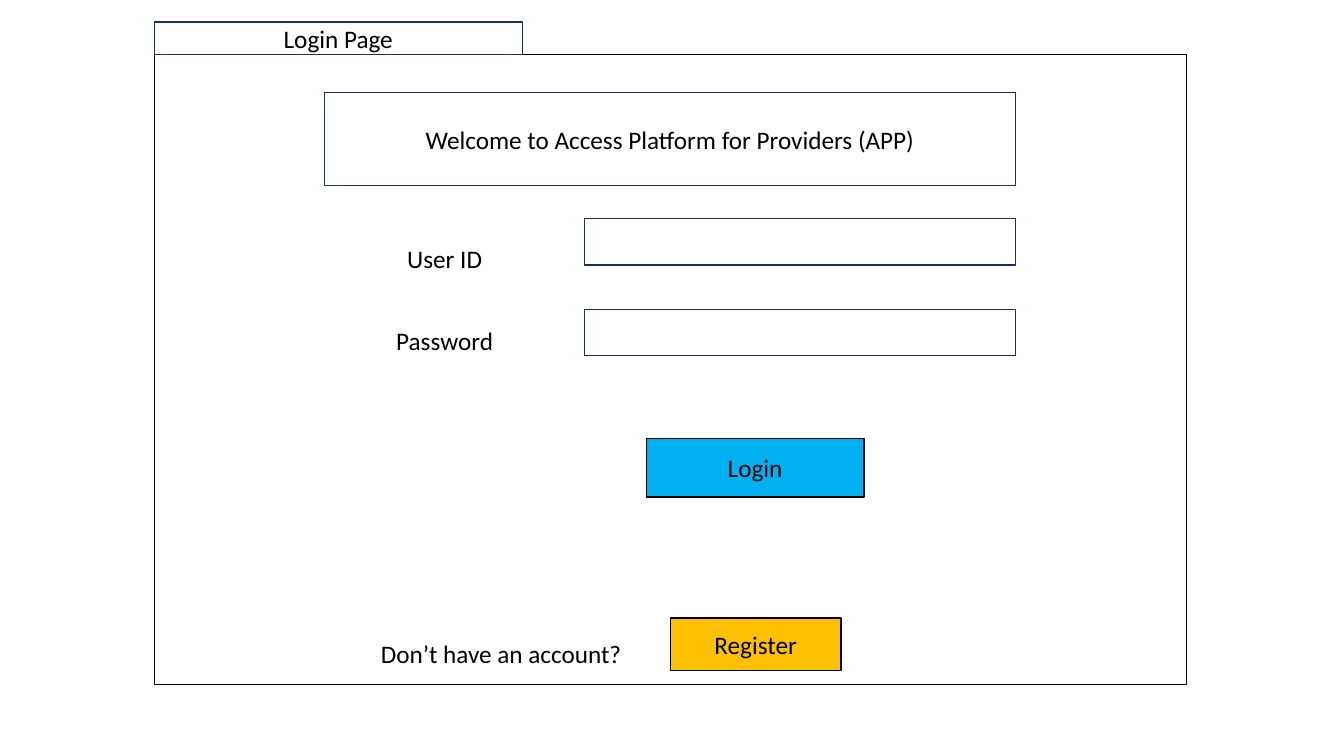
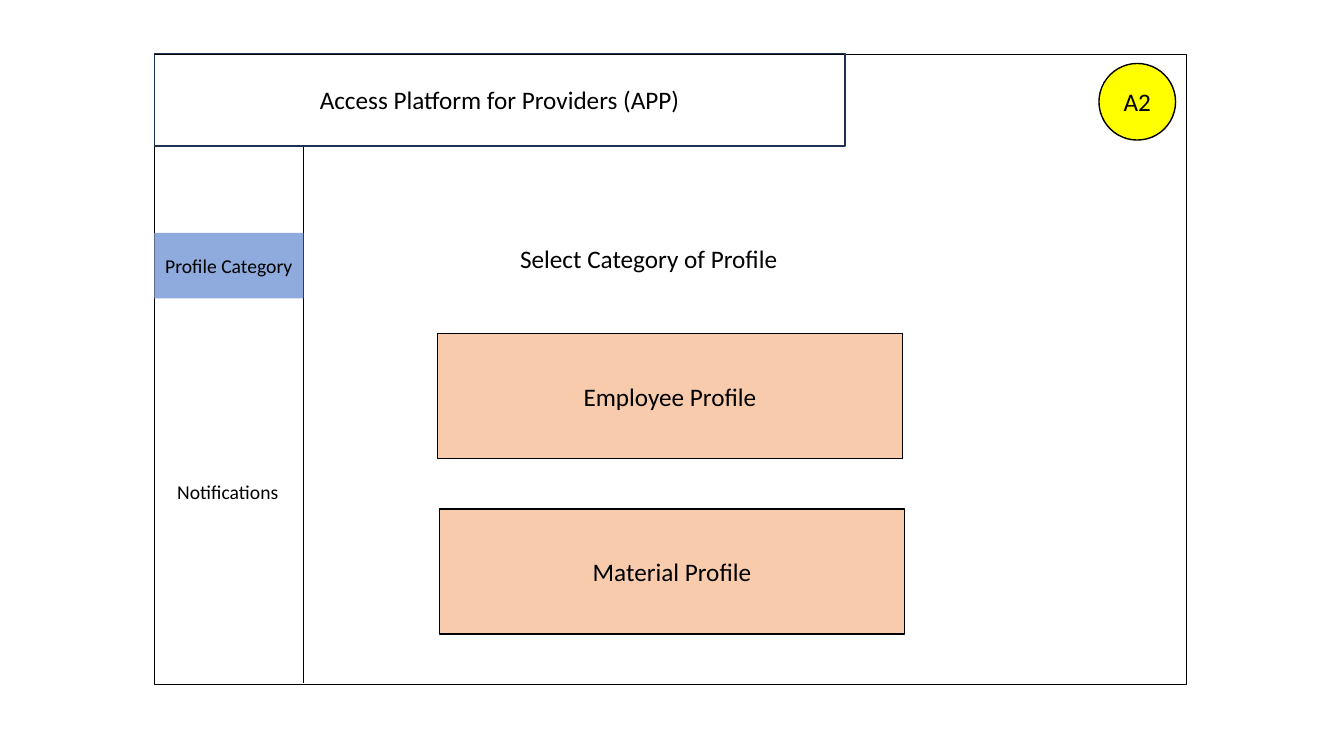
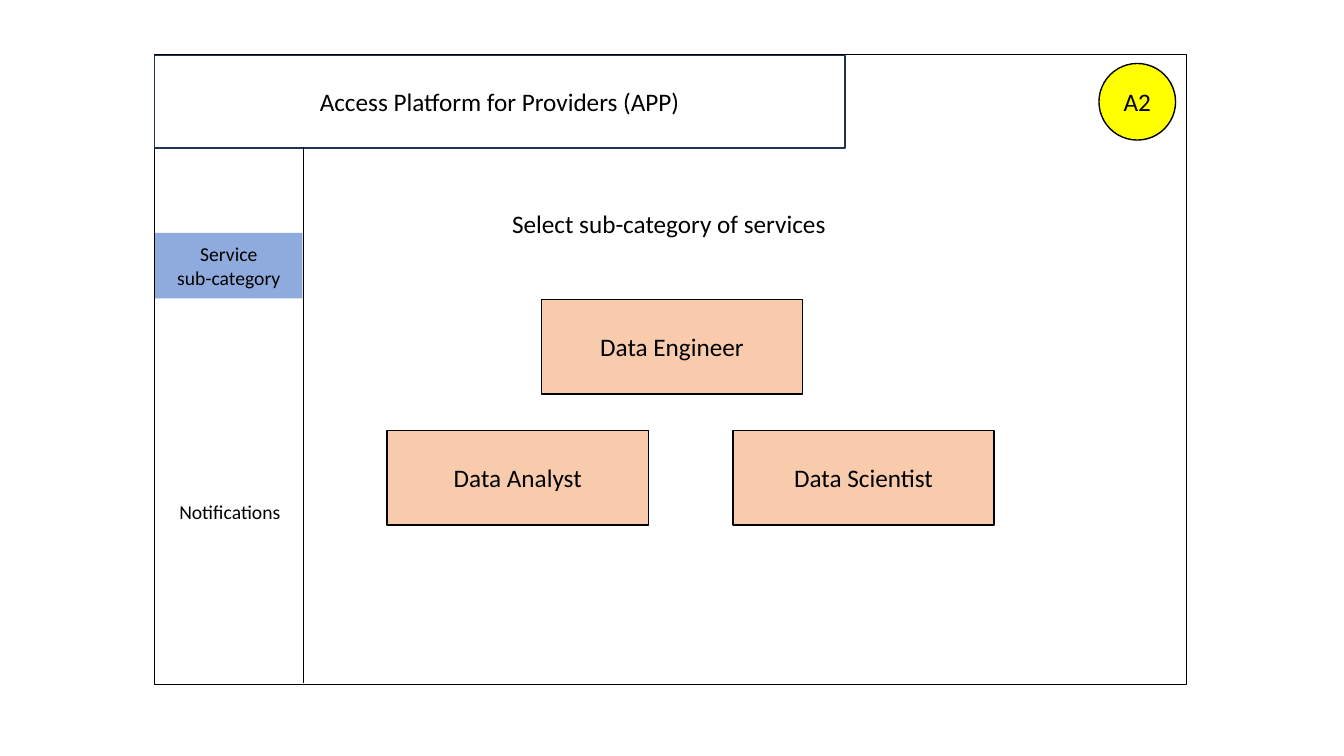
from pptx import Presentation
from pptx.dml.color import RGBColor
from pptx.enum.shapes import MSO_CONNECTOR, MSO_SHAPE
from pptx.enum.text import MSO_ANCHOR, PP_ALIGN
from pptx.oxml.ns import qn
from pptx.util import Emu, Pt
from lxml import etree

RECT, OVAL = MSO_SHAPE.RECTANGLE, MSO_SHAPE.OVAL
STRAIGHT = MSO_CONNECTOR.STRAIGHT
MIDDLE, CENTER = MSO_ANCHOR.MIDDLE, PP_ALIGN.CENTER

PX = 9144  # 100 px to the inch
FONT, BODY, SMALL = "Calibri", 18, 14
COLORS = {
    "black": "000000", "navy": "1E3256", "blue": "00B0F0", "gold": "FFC000",
    "peach": "F8CBAD", "yellow": "FFFF00", "active": "8FAADC",
}

# Boxes are (left, top, width, height)
WINDOW = (153, 54, 1024, 625)
BADGE = ("A2", (1090, 63, 76, 76))
HEADER = "Access Platform for Providers (APP)"
HEADER_SIZE = (685, 92)
SIDEBAR_RIGHT, SIDEBAR_TOP, SIDEBAR_BOTTOM = 301, 146, 678

LOGIN = {
    "tab": ("Login Page", (153, 22, 365, 32)),
    "welcome": ("Welcome to Access Platform for Providers (APP)", (322, 92, *HEADER_SIZE)),
    "labels": [
        ("User ID", (322, 217, 238, 78)),
        ("Password", (322, 309, 238, 58)),
        ("Don’t have an account?", (278, 631, 438, 34)),
    ],
    "fields": [(580, top, 427, 46) for top in (217, 307)],
    "buttons": [
        ("Login", (641, 435, 216, 58), "blue"),
        ("Register", (665, 613, 169, 52), "gold"),
    ],
}

CHOICE_PAGES = [
    {
        "header_top": 53,
        "prompt": ("Select Category of Profile", (322, 217, 643, 78)),
        "choice_size": (461, 124),
        "choices": [("Employee Profile", 434, 331), ("Material Profile", 436, 505)],
        "active": ("Profile Category", (153, 231, 148, 65)),
        "notifications": (153, 455, 146, 65),
    },
    {
        "header_top": 55,
        "prompt": ("Select sub-category of services", (342, 183, 643, 78)),
        "choice_size": (259, 94),
        "choices": [("Data Engineer", 537, 297), ("Data Analyst", 384, 427),
                    ("Data Scientist", 727, 427)],
        "active": ("Service\nsub-category", (154, 231, 146, 65)),
        "notifications": (155, 475, 146, 65),
    },
]


def px(*lengths):
    return [Emu(n * PX) for n in lengths]


def rgb(name):
    return RGBColor.from_string(COLORS[name])


def write(shape, text, size):
    tf = shape.text_frame
    tf.word_wrap = True
    tf.vertical_anchor = MIDDLE
    tf.text = text
    for p in tf.paragraphs:
        p.alignment = CENTER
        p.font.name, p.font.size = FONT, Pt(size)
        p.font.color.rgb = rgb("black")


def add_box(s, box, text="", fill=None, line="black", size=BODY, kind=RECT):
    sp = s.shapes.add_shape(kind, *px(*box))
    sp.shadow.inherit = False
    if fill:
        sp.fill.solid()
        sp.fill.fore_color.rgb = rgb(fill)
    else:
        sp.fill.background()
    if line:
        sp.line.color.rgb = rgb(line)
        sp.line.width = Pt(1)
    else:
        sp.line.fill.background()
    if text:
        write(sp, text, size)


def add_label(s, text, box, size=BODY):
    write(s.shapes.add_textbox(*px(*box)), text, size)


def add_page(prs):
    """Add a blank slide with the window frame."""
    s = prs.slides.add_slide(prs.slide_layouts[6])
    add_box(s, WINDOW)
    return s


def add_sidebar(s, active, notifications):
    divider = s.shapes.add_connector(
        STRAIGHT, *px(SIDEBAR_RIGHT, SIDEBAR_TOP, SIDEBAR_RIGHT, SIDEBAR_BOTTOM))
    divider.line.color.rgb = rgb("black")
    divider.line.width = Pt(0.5)
    etree.SubElement(divider.element.spPr, qn("a:effectLst"))
    text, box = active
    add_box(s, box, text, "active", None, SMALL)
    add_label(s, "Notifications", notifications, SMALL)


def build_login(prs):
    s = add_page(prs)
    for text, box in (LOGIN["tab"], LOGIN["welcome"]):
        add_box(s, box, text, line="navy")
    for text, box in LOGIN["labels"]:
        add_label(s, text, box)
    for box in LOGIN["fields"]:
        add_box(s, box, line="navy")
    for text, box, fill in LOGIN["buttons"]:
        add_box(s, box, text, fill)


def build_choice_page(prs, page):
    s = add_page(prs)
    add_box(s, (WINDOW[0], page["header_top"], *HEADER_SIZE), HEADER, line="navy")
    add_label(s, *page["prompt"])
    for text, left, top in page["choices"]:
        add_box(s, (left, top, *page["choice_size"]), text, "peach")
    text, box = BADGE
    add_box(s, box, text, "yellow", kind=OVAL)
    add_sidebar(s, page["active"], page["notifications"])


def main():
    prs = Presentation()
    prs.slide_width, prs.slide_height = px(1333, 750)
    build_login(prs)
    for page in CHOICE_PAGES:
        build_choice_page(prs, page)
    prs.save("out.pptx")


if __name__ == "__main__":
    main()
